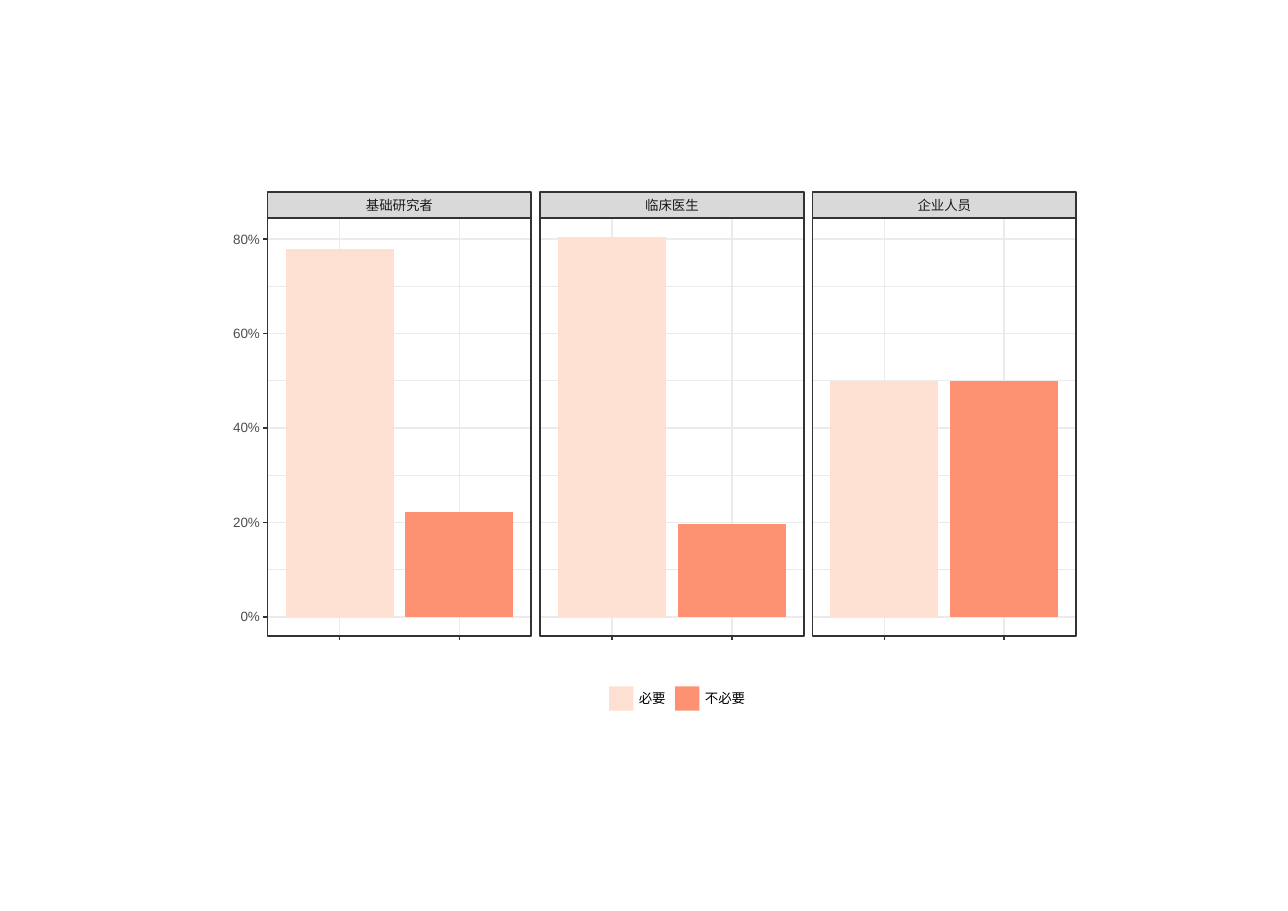
from dataclasses import dataclass

import pptx
import pptx.chart.data
import pptx.dml.color
import pptx.enum.chart
import pptx.enum.shapes
import pptx.enum.text
import pptx.oxml
import pptx.oxml.ns
import pptx.util

ANSWERS = ("必要", "不必要")
PANELS = (
    ("基础研究者", (0.778, 0.222)),
    ("临床医生", (0.804, 0.196)),
    ("企业人员", (0.5, 0.5)),
)
MAJOR = (0, 0.2, 0.4, 0.6, 0.8)
MINOR = (0.1, 0.3, 0.5, 0.7)


@dataclass(frozen=True)
class Theme:
    font: str = "Arial"
    size: float = 8.8
    answers: tuple = ("FEE0D2", "FC9272")
    grid: str = "EBEBEB"
    frame: str = "333333"
    strip: str = "D9D9D9"
    strip_text: str = "1A1A1A"
    axis_text: str = "4D4D4D"
    legend_text: str = "000000"
    thin: float = 0.53
    thick: float = 1.07


THEME = Theme()
ALIGN = pptx.enum.text.PP_ALIGN
inch = pptx.util.Inches

# Panel grid, in inches
LEFT, RIGHT, GAP = 2.43, 9.77, 0.08
STRIP_TOP, TOP, BOTTOM = 1.74, 1.98, 5.77
WIDTH = (RIGHT - LEFT - GAP * (len(PANELS) - 1)) / len(PANELS)
TICK = 0.04
LABEL_HEIGHT = 0.16
LABEL_DROP = 0.01

# Each category takes one slot, with 0.1 slot spare at both panel edges
SPARE = 0.1
SLOT = WIDTH / (len(ANSWERS) + 2 * SPARE)
BAR_SHARE = 0.9

# The value axis reaches 5 % beyond zero and the tallest bar
PEAK = max(max(values) for _, values in PANELS)
AXIS_MAX = 1.05 * PEAK
SCALE = (BOTTOM - TOP) / (1.1 * PEAK)
ZERO = TOP + AXIS_MAX * SCALE

# Legend
KEY_LEFT, KEY_TOP, KEY_SIZE, KEY_PITCH = 5.53, 6.23, 0.22, 0.6
KEY_TO_LABEL = 0.27


def color(code):
    return pptx.dml.color.RGBColor.from_string(code)


def height_of(value):
    return ZERO - value * SCALE


def add_rect(page, left, top, width, height, fill=None, line=None):
    rect = page.shapes.add_shape(
        pptx.enum.shapes.MSO_SHAPE.RECTANGLE,
        inch(left), inch(top), inch(width), inch(height))
    rect.shadow.inherit = False
    if fill:
        rect.fill.solid()
        rect.fill.fore_color.rgb = color(fill)
    else:
        rect.fill.background()
    if line:
        rect.line.color.rgb = color(line)
        rect.line.width = pptx.util.Pt(THEME.thick)
    else:
        rect.line.fill.background()


def add_line(page, x1, y1, x2, y2, code, weight=THEME.thick):
    line = page.shapes.add_connector(
        pptx.enum.shapes.MSO_CONNECTOR.STRAIGHT,
        inch(x1), inch(y1), inch(x2), inch(y2))
    line.line.color.rgb = color(code)
    line.line.width = pptx.util.Pt(weight)
    properties = line._element.spPr
    properties.append(properties.makeelement(pptx.oxml.ns.qn("a:effectLst")))


def add_label(page, text, left, middle, width, align, code):
    top = middle + LABEL_DROP - LABEL_HEIGHT / 2
    box = page.shapes.add_textbox(inch(left), inch(top), inch(width), inch(LABEL_HEIGHT))
    frame = box.text_frame
    frame.margin_left = frame.margin_right = 0
    frame.margin_top = frame.margin_bottom = 0
    frame.vertical_anchor = pptx.enum.text.MSO_ANCHOR.MIDDLE
    frame.word_wrap = True
    para = frame.paragraphs[0]
    para.text = text
    para.alignment = align
    para.line_spacing = pptx.util.Pt(THEME.size)
    para.font.name = THEME.font
    para.font.size = pptx.util.Pt(THEME.size)
    para.font.color.rgb = color(code)


def clear_chart_area(chart):
    """Let the plot fill the whole frame, with nothing painted behind the bars."""
    names = pptx.oxml.ns.nsdecls("c", "a")
    blank = f"<c:spPr {names}><a:noFill/><a:ln><a:noFill/></a:ln></c:spPr>"
    layout = (
        f'<c:layout {names}><c:manualLayout><c:layoutTarget val="inner"/>'
        '<c:xMode val="edge"/><c:yMode val="edge"/><c:x val="0"/><c:y val="0"/>'
        '<c:w val="1"/><c:h val="1"/></c:manualLayout></c:layout>')
    holder = chart.element.find(pptx.oxml.ns.qn("c:chart"))
    plot_area = holder.find(pptx.oxml.ns.qn("c:plotArea"))
    for old in plot_area.findall(pptx.oxml.ns.qn("c:layout")):
        plot_area.remove(old)
    plot_area.insert(0, pptx.oxml.parse_xml(layout))
    plot_area.append(pptx.oxml.parse_xml(blank))
    holder.addnext(pptx.oxml.parse_xml(blank))


def add_bars(page, name, values, left):
    data = pptx.chart.data.CategoryChartData(number_format="0.0%")
    data.categories = ANSWERS
    data.add_series(name, values)
    chart = page.shapes.add_chart(
        pptx.enum.chart.XL_CHART_TYPE.COLUMN_CLUSTERED,
        inch(left + SPARE * SLOT), inch(TOP),
        inch(len(ANSWERS) * SLOT), inch(ZERO - TOP), data).chart
    chart.has_title = False
    chart.has_legend = False
    chart.font.name = THEME.font
    chart.font.size = pptx.util.Pt(THEME.size)
    chart.value_axis.minimum_scale = 0
    chart.value_axis.maximum_scale = round(AXIS_MAX, 3)
    chart.value_axis.has_major_gridlines = False
    chart.value_axis.visible = False
    chart.category_axis.visible = False
    plot = chart.plots[0]
    plot.vary_by_categories = False
    plot.gap_width = round(100 * (1 / BAR_SHARE - 1))
    for index, code in enumerate(THEME.answers):
        fill = plot.series[0].points[index].format.fill
        fill.solid()
        fill.fore_color.rgb = color(code)
    clear_chart_area(chart)


def add_panel(page, name, values, left):
    right = left + WIDTH
    for levels, weight in ((MINOR, THEME.thin), (MAJOR, THEME.thick)):
        for level in levels:
            y = height_of(level)
            add_line(page, left, y, right, y, THEME.grid, weight)
    for index in range(len(ANSWERS)):
        x = left + (SPARE + index + 0.5) * SLOT
        add_line(page, x, TOP, x, BOTTOM, THEME.grid)
        add_line(page, x, BOTTOM, x, BOTTOM + TICK, THEME.frame)
    add_bars(page, name, values, left)
    add_rect(page, left, TOP, WIDTH, BOTTOM - TOP, line=THEME.frame)
    add_rect(page, left, STRIP_TOP, WIDTH, TOP - STRIP_TOP, THEME.strip, THEME.frame)
    add_label(page, name, left, (STRIP_TOP + TOP) / 2, WIDTH, ALIGN.CENTER, THEME.strip_text)


def main():
    deck = pptx.Presentation()
    deck.slide_width, deck.slide_height = pptx.util.Mm(297), pptx.util.Mm(210)
    page = deck.slides.add_slide(deck.slide_layouts.get_by_name("Blank"))
    for index, (name, values) in enumerate(PANELS):
        add_panel(page, name, values, LEFT + index * (WIDTH + GAP))
    for level in MAJOR:
        y = height_of(level)
        add_line(page, LEFT - TICK, y, LEFT, y, THEME.frame)
        add_label(page, f"{level:.0%}", LEFT - 0.47, y, 0.4, ALIGN.RIGHT, THEME.axis_text)
    for index, (answer, code) in enumerate(zip(ANSWERS, THEME.answers)):
        left = KEY_LEFT + index * KEY_PITCH
        add_rect(page, left, KEY_TOP, KEY_SIZE, KEY_SIZE, code)
        add_label(page, answer, left + KEY_TO_LABEL, KEY_TOP + KEY_SIZE / 2,
                  0.5, ALIGN.LEFT, THEME.legend_text)
    deck.save("out.pptx")


if __name__ == "__main__":
    main()
